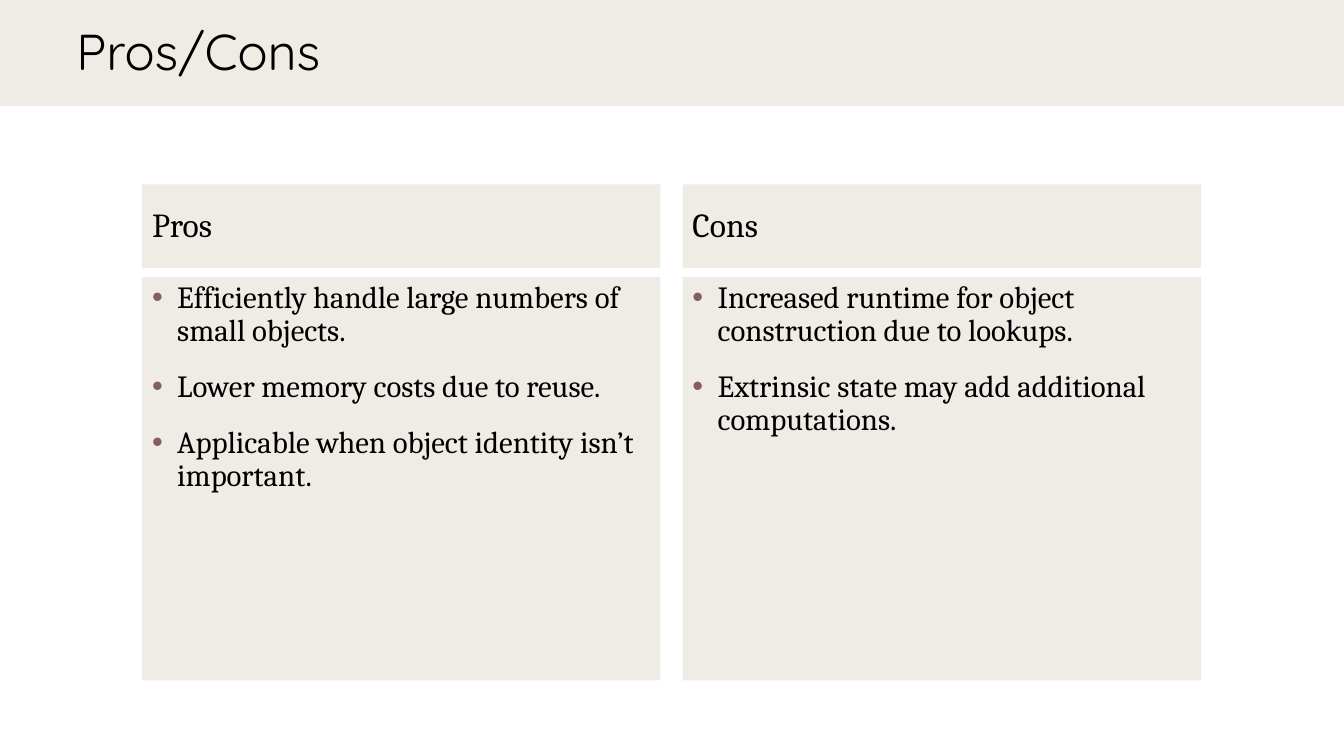
"""Build the Pros/Cons comparison slide."""
from dataclasses import dataclass

from lxml.etree import SubElement
from pptx import Presentation
from pptx.dml.color import RGBColor
from pptx.enum.shapes import MSO_SHAPE as Preset
from pptx.enum.text import MSO_ANCHOR as Anchor, PP_ALIGN as Align
from pptx.oxml.ns import qn
from pptx.util import Inches, Pt

SAND = RGBColor(0xE9, 0xE5, 0xDC)
BLACK = RGBColor(0x00, 0x00, 0x00)
BULLET = RGBColor(0x85, 0x5D, 0x5D)
SAND_ALPHA = 70
BULLET_INDENT = Inches(0.25)
SLIDE_WIDTH = Inches(13.33)
COLUMN_LEFT = Inches(1.41)
COLUMN_WIDTH = Inches(5.14)
COLUMN_GAP = Inches(0.22)


@dataclass(frozen=True)
class Column:
    """A heading with the points listed under it."""
    heading: str
    points: tuple[str, ...]


@dataclass(frozen=True)
class TextStyle:
    """Typeface and size of a text run."""
    font: str
    size: int


TITLE = TextStyle("Quicksand", 36)
HEADING = TextStyle("Cambria", 24)
POINT = TextStyle("Cambria", 22)
COLUMNS = (
    Column("Pros", (
        "Efficiently handle large numbers of small objects.",
        "Lower memory costs due to reuse.",
        "Applicable when object identity isn’t important.",
    )),
    Column("Cons", (
        "Increased runtime for object construction due to lookups.",
        "Extrinsic state may add additional computations.",
    )),
)


def add_panel(slide, left: int, top: int, width: int, height: int):
    """Add a translucent sand rectangle."""
    shape = slide.shapes.add_shape(Preset.RECTANGLE, left, top, width, height)
    shape.shadow.inherit = False
    shape.fill.solid()
    shape.fill.fore_color.rgb = SAND
    color = shape.fill._xPr.find(".//" + qn("a:srgbClr"))
    SubElement(color, qn("a:alpha"), val=str(SAND_ALPHA * 1000))
    shape.line.fill.background()
    return shape


def add_bullet(paragraph) -> None:
    """Give a paragraph a coloured bullet and a hanging indent."""
    properties = paragraph._p.get_or_add_pPr()
    properties.set("marL", str(BULLET_INDENT))
    properties.set("indent", str(-BULLET_INDENT))
    color = SubElement(properties, qn("a:buClr"))
    SubElement(color, qn("a:srgbClr"), val=str(BULLET))
    SubElement(properties, qn("a:buFont"), typeface="Arial")
    SubElement(properties, qn("a:buChar"), char="•")


def write(shape, lines: tuple[str, ...], style: TextStyle,
          anchor: Anchor = Anchor.MIDDLE, bulleted: bool = False) -> None:
    """Fill a shape with one paragraph per line."""
    frame = shape.text_frame
    frame.word_wrap = True
    frame.vertical_anchor = anchor
    for index, line in enumerate(lines):
        paragraph = frame.add_paragraph() if index else frame.paragraphs[0]
        paragraph.alignment = Align.LEFT
        paragraph.line_spacing = 0.9
        if bulleted:
            paragraph.space_before = Pt(16)
            add_bullet(paragraph)
        run = paragraph.add_run()
        run.text = line
        run.font.name = style.font
        run.font.size = Pt(style.size)
        run.font.color.rgb = BLACK


def add_column(slide, column: Column, left: int) -> None:
    """Add the heading panel and the points panel of a column."""
    heading = add_panel(slide, left, Inches(1.83), COLUMN_WIDTH, Inches(0.83))
    write(heading, (column.heading,), HEADING)
    points = add_panel(slide, left, Inches(2.75), COLUMN_WIDTH, Inches(4))
    write(points, column.points, POINT, Anchor.TOP, bulleted=True)


def main() -> None:
    """Create and save the presentation."""
    presentation = Presentation()
    presentation.slide_width = SLIDE_WIDTH
    presentation.slide_height = Inches(7.5)
    slide = presentation.slides.add_slide(presentation.slide_layouts[6])
    add_panel(slide, 0, 0, SLIDE_WIDTH, Inches(1.05))
    title = slide.shapes.add_textbox(
        Inches(0.66), 0, Inches(12.66), Inches(1.08))
    write(title, ("Pros/Cons",), TITLE)
    for index, column in enumerate(COLUMNS):
        add_column(slide, column,
                   COLUMN_LEFT + index * (COLUMN_WIDTH + COLUMN_GAP))
    presentation.save("out.pptx")


main()
